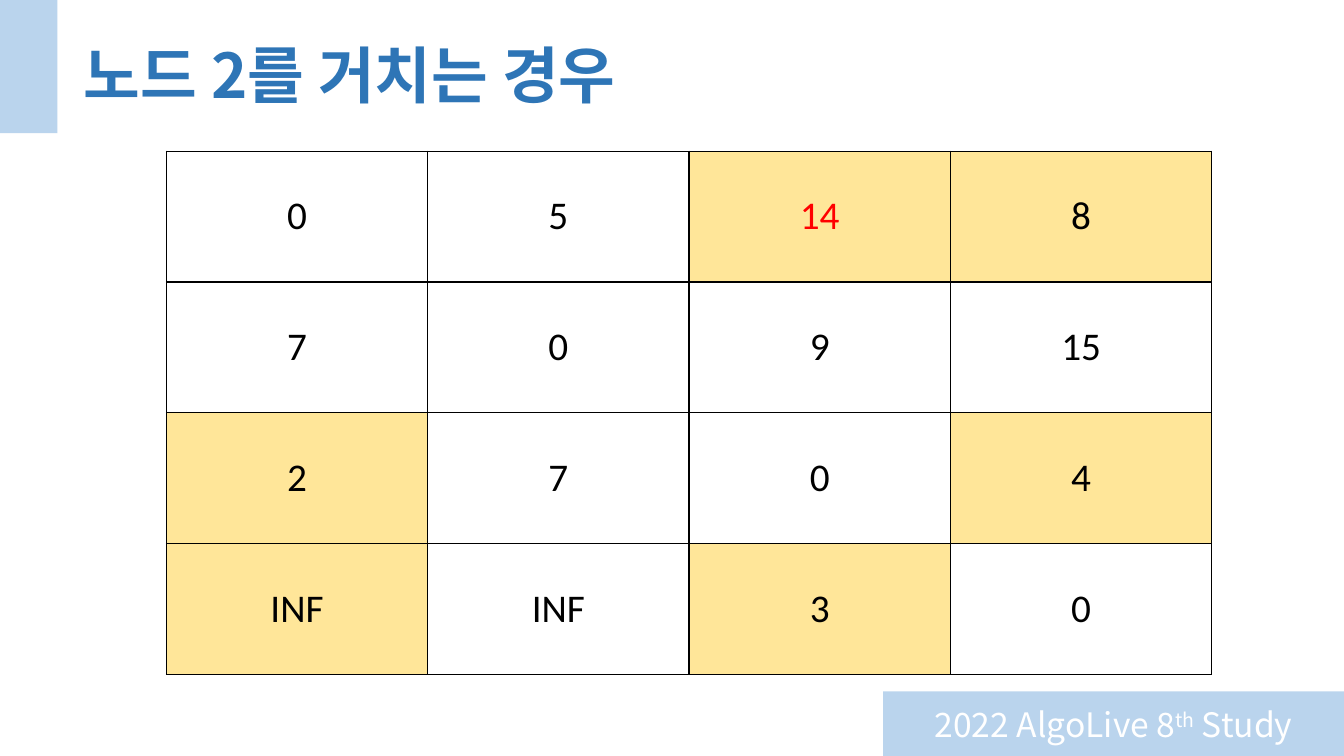
from dataclasses import dataclass

from lxml.etree import SubElement
from pptx import Presentation
from pptx.dml.color import RGBColor
from pptx.enum.shapes import MSO_SHAPE
from pptx.enum.text import MSO_ANCHOR, PP_ALIGN
from pptx.oxml.ns import qn
from pptx.util import Inches, Pt


@dataclass(frozen=True)
class Theme:
    heading_font: str = "Noto Sans CJK KR"
    table_font: str = "Calibri"
    title_size: int = 44
    cell_size: int = 28
    footer_size: int = 24
    title: str = "2E75B6"
    band: str = "9DC3E6"
    text: str = "000000"
    changed: str = "FF0000"
    highlight: str = "FFE699"
    footer: str = "FFFFFF"


theme = Theme()


def format_run(run, font_name, size, color):
    run.font.size = Pt(size)
    run.font.color.rgb = RGBColor.from_string(color)
    run.font.name = font_name
    SubElement(run.font._element, qn("a:ea"), typeface=font_name)


def add_band(slide, left, top, width, height):
    band = slide.shapes.add_shape(
        MSO_SHAPE.RECTANGLE, Inches(left), Inches(top), Inches(width), Inches(height))
    band.shadow.inherit = False
    band.line.fill.background()
    band.fill.solid()
    band.fill.fore_color.rgb = RGBColor.from_string(theme.band)
    color = band._element.spPr.find(qn("a:solidFill"))[0]
    SubElement(color, qn("a:alpha"), val="70000")
    return band


presentation = Presentation()
presentation.slide_width = Inches(13.33)
presentation.slide_height = Inches(7.5)
slide = presentation.slides.add_slide(presentation.slide_layouts[5])

# Corner band and footer band
add_band(slide, 0, 0, 0.57, 1.32)
footer = add_band(slide, 8.76, 6.86, 4.57, 0.64)
footer.text_frame.vertical_anchor = MSO_ANCHOR.MIDDLE
paragraph = footer.text_frame.paragraphs[0]
paragraph.alignment = PP_ALIGN.CENTER
for text, baseline in (("2022 AlgoLive 8", 0), ("th", 30000), (" Study", 0)):
    run = paragraph.add_run()
    run.text = text
    format_run(run, theme.heading_font, theme.footer_size, theme.footer)
    if baseline:
        run.font._element.set("baseline", str(baseline))

# Title
title = slide.shapes.title
title.left, title.top = Inches(0.73), Inches(0.05)
title.width, title.height = Inches(11.5), Inches(1.45)
title.text_frame.text = "노드 2를 거치는 경우"
title.text_frame.vertical_anchor = MSO_ANCHOR.MIDDLE
paragraph = title.text_frame.paragraphs[0]
paragraph.alignment = PP_ALIGN.LEFT
paragraph.line_spacing = 0.9
format_run(paragraph.runs[0], theme.heading_font, theme.title_size, theme.title)
paragraph.runs[0].font.bold = True

# Distance matrix
distances = [
    ["0", "5", "14", "8"],
    ["7", "0", "9", "15"],
    ["2", "7", "0", "4"],
    ["INF", "INF", "3", "0"],
]
highlighted = {(0, 2), (0, 3), (2, 0), (2, 3), (3, 0), (3, 2)}
changed = {(0, 2)}

table = slide.shapes.add_table(
    4, 4, Inches(1.65), Inches(1.5), Inches(10.37), Inches(5.19)).table
table.first_row = False
table.horz_banding = False
for row_index, values in enumerate(distances):
    for column_index, value in enumerate(values):
        position = (row_index, column_index)
        cell = table.cell(row_index, column_index)
        cell.text_frame.text = value
        cell.vertical_anchor = MSO_ANCHOR.MIDDLE
        paragraph = cell.text_frame.paragraphs[0]
        paragraph.alignment = PP_ALIGN.CENTER
        color = theme.changed if position in changed else theme.text
        format_run(paragraph.runs[0], theme.table_font, theme.cell_size, color)

        # Borders come before the fill in the cell properties
        properties = cell._tc.get_or_add_tcPr()
        for side in ("a:lnL", "a:lnR", "a:lnT", "a:lnB"):
            border = SubElement(properties, qn(side), w=str(Pt(1)))
            border_fill = SubElement(border, qn("a:solidFill"))
            SubElement(border_fill, qn("a:srgbClr"), val=theme.text)
        if position in highlighted:
            cell.fill.solid()
            cell.fill.fore_color.rgb = RGBColor.from_string(theme.highlight)
        else:
            cell.fill.background()

presentation.save("out.pptx")
